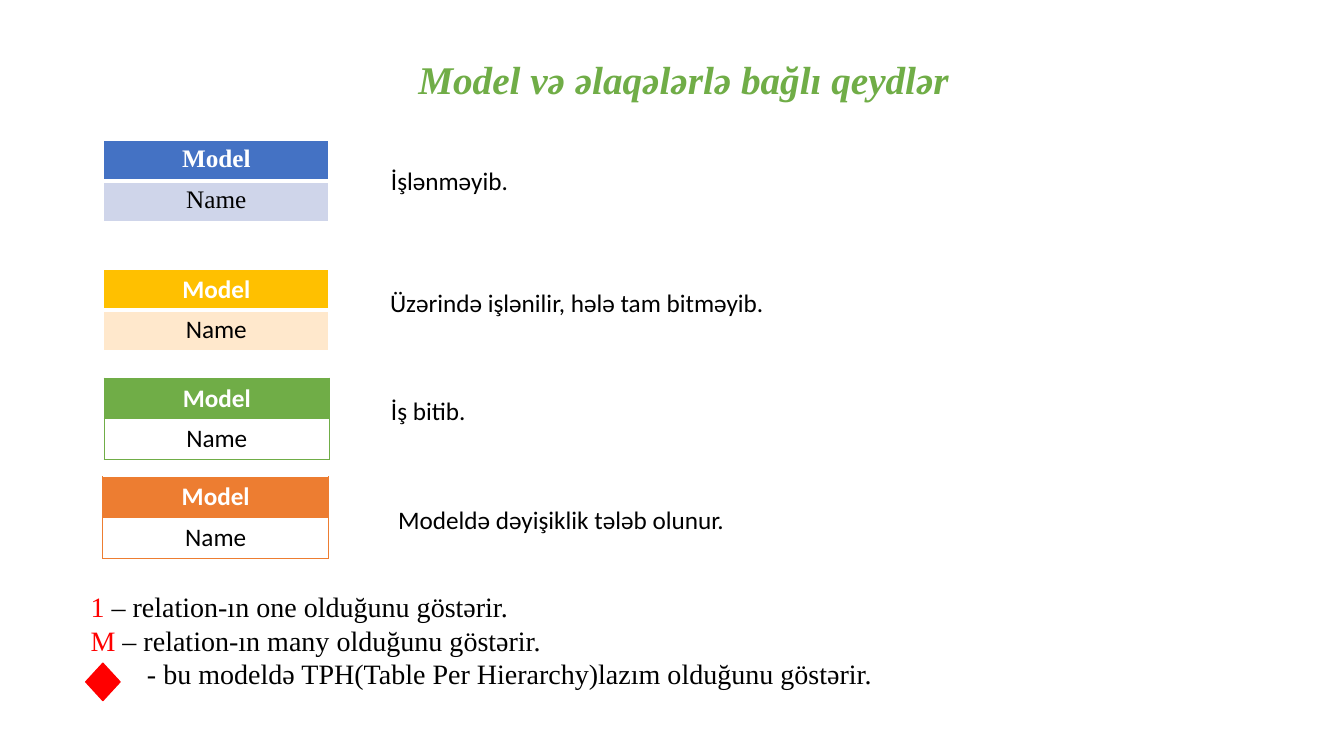
from lxml import etree
from pptx import Presentation
from pptx.dml.color import RGBColor
from pptx.enum.shapes import MSO_SHAPE
from pptx.enum.text import MSO_ANCHOR, PP_ALIGN
from pptx.oxml.ns import qn
from pptx.util import Inches, Pt

CENTER = PP_ALIGN.CENTER
MIDDLE = MSO_ANCHOR.MIDDLE
SORT = MSO_SHAPE.FLOWCHART_SORT

WHITE = RGBColor(0xFF, 0xFF, 0xFF)
BLACK = RGBColor(0, 0, 0)
RED = RGBColor(0xFF, 0, 0)
BLUE = RGBColor(0x44, 0x72, 0xC4)
PALE = RGBColor(0xCF, 0xD5, 0xEA)
GOLD = RGBColor(0xFF, 0xC0, 0)
CREAM = RGBColor(0xFF, 0xE8, 0xCC)
GREEN = RGBColor(0x70, 0xAD, 0x47)
ORANGE = RGBColor(0xED, 0x7D, 0x31)

SERIF = "Times New Roman"
SANS = "Calibri"

WIDTH, HEIGHT = Inches(13.33), Inches(7.5)
ROW = 5.4  # height of a table row, in percent of the slide

# table: left, top, width, font, head fill, body fill, line, line width, seam
# note: left, top, width, text
STATES = [
    ((7.73, 18.53, 16.73, SERIF, BLUE, PALE, WHITE, 1, 3),
     (28.35, 21.2, 11.25, "İşlənməyib.")),
    ((7.73, 35.6, 16.73, SANS, GOLD, CREAM, WHITE, 1, 3),
     (28.28, 37.33, 31.73, "Üzərində işlənilir, hələ tam bitməyib.")),
    ((7.73, 50, 16.8, SANS, GREEN, WHITE, GREEN, 0.5, 0.5),
     (28.35, 51.6, 11.25, "İş bitib.")),
    ((7.65, 63.07, 16.8, SANS, ORANGE, WHITE, ORANGE, 0.5, 0.5),
     (28.88, 66, 31.73, "Modeldə dəyişiklik tələb olunur.")),
]

LEGEND = [
    [("1 ", RED), ("– relation-ın one olduğunu göstərir.", BLACK)],
    [("M ", RED), ("– relation-ın many olduğunu göstərir.", BLACK)],
    [("- bu modeldə TPH(Table Per Hierarchy)lazım olduğunu göstərir.", BLACK)],
]


def area(left, top, wide, high):
    """Turn percents of the slide into lengths."""
    return (int(WIDTH * left / 100), int(HEIGHT * top / 100),
            int(WIDTH * wide / 100), int(HEIGHT * high / 100))


def style(run, font, size, color, bold=False, italic=False):
    run.font.name = font
    run.font.size = Pt(size)
    run.font.color.rgb = color
    run.font.bold = bold
    run.font.italic = italic


def add_title(slide, text):
    title = slide.shapes.title
    title.left, title.top, title.width, title.height = area(
        7.73, 3.6, 86.27, 14.53)
    frame = title.text_frame
    frame.text = text
    frame.vertical_anchor = MIDDLE
    par = frame.paragraphs[0]
    par.alignment = CENTER
    par.line_spacing = 0.9
    style(par.runs[0], SERIF, 28, GREEN, True, True)


def set_edges(cell, color, widths):
    """Draw the left, right, top and bottom borders, widths in points."""
    props = cell._tc.get_or_add_tcPr()
    for spot, (side, width) in enumerate(zip("LRTB", widths)):
        line = etree.Element(qn(f"a:ln{side}"), w=str(Pt(width)))
        fill = etree.SubElement(line, qn("a:solidFill"))
        etree.SubElement(fill, qn("a:srgbClr"), val=str(color))
        props.insert(spot, line)


def add_model(slide, left, top, wide, font, head, body, line, thin, seam):
    spot = area(left, top, wide, 2 * ROW)
    table = slide.shapes.add_table(2, 1, *spot).table
    rows = [("Model", head, WHITE, True, (thin, thin, thin, seam)),
            ("Name", body, BLACK, False, (thin, thin, seam, thin))]
    for index, (text, fill, ink, bold, widths) in enumerate(rows):
        cell = table.cell(index, 0)
        cell.text = text
        cell.fill.solid()
        cell.fill.fore_color.rgb = fill
        par = cell.text_frame.paragraphs[0]
        par.alignment = CENTER
        style(par.runs[0], font, 18, ink, bold)
        set_edges(cell, line, widths)


def add_note(slide, left, top, wide, text):
    box = slide.shapes.add_textbox(*area(left, top, wide, 5.33))
    frame = box.text_frame
    frame.word_wrap = True
    frame.text = text
    style(frame.paragraphs[0].runs[0], SANS, 18, BLACK)


def add_legend(slide):
    box = slide.shapes.add_textbox(*area(6, 77.33, 62.26, 21.07))
    frame = box.text_frame
    frame.word_wrap = True
    for index, parts in enumerate(LEGEND):
        par = frame.add_paragraph() if index else frame.paragraphs[0]
        for text, color in parts:
            run = par.add_run()
            run.text = text
            style(run, SERIF, 20, color)
    # The last line leaves room for the diamond
    par._p.get_or_add_pPr().set("marL", str(int(WIDTH * 0.042)))


def add_mark(slide):
    mark = slide.shapes.add_shape(SORT, *area(6.38, 87.73, 2.55, 4.93))
    mark.shadow.inherit = False
    mark.fill.solid()
    mark.fill.fore_color.rgb = RED
    mark.line.color.rgb = RED
    mark.line.width = Pt(1)


def main():
    deck = Presentation()
    deck.slide_width, deck.slide_height = WIDTH, HEIGHT
    slide = deck.slides.add_slide(deck.slide_layouts[5])
    add_title(slide, "Model və əlaqələrlə bağlı qeydlər")
    for model, note in STATES:
        add_model(slide, *model)
        add_note(slide, *note)
    add_legend(slide)
    add_mark(slide)
    deck.save("out.pptx")


if __name__ == "__main__":
    main()
